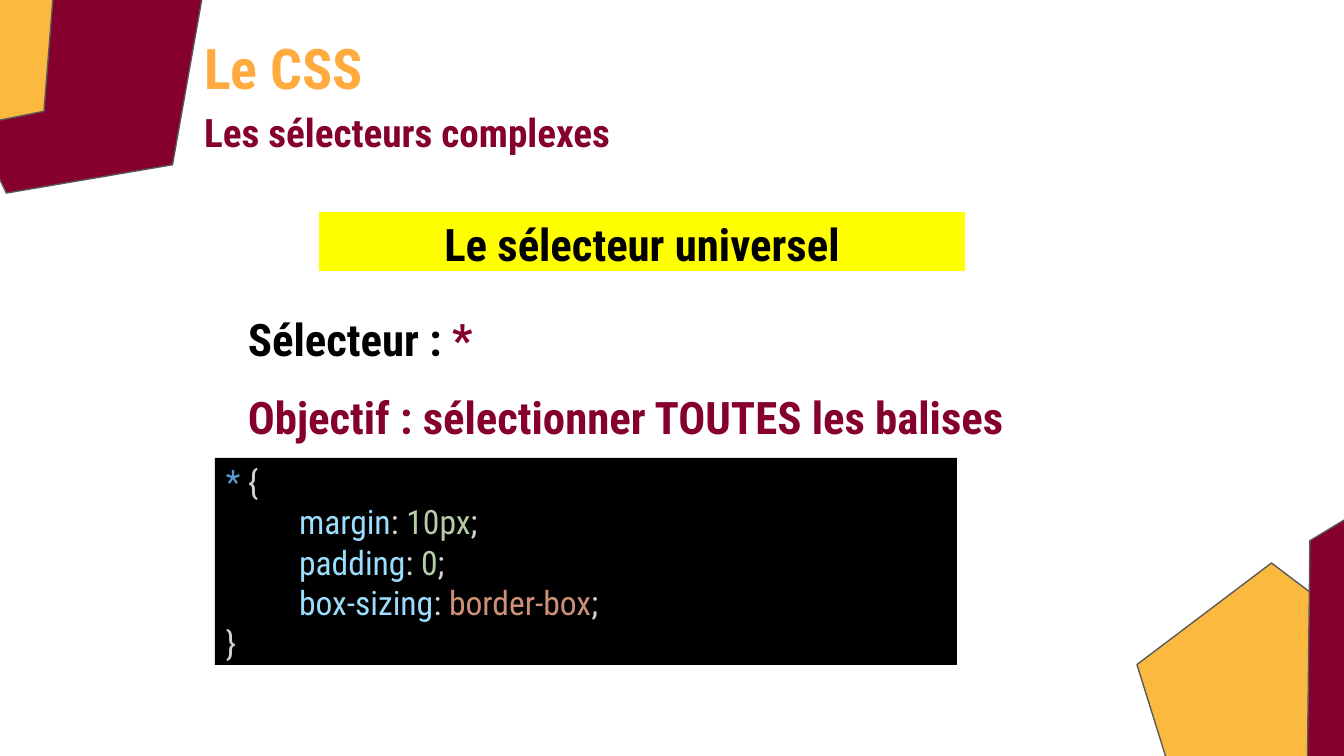
from dataclasses import dataclass

from pptx import Presentation
from pptx import util as u
from pptx.dml.color import RGBColor
from pptx.enum import shapes, text

SCALE = 914400 / 134.4  # EMU per px


@dataclass(frozen=True)
class Theme:
    font: str = "Roboto Condensed"
    orange: str = "FFAB40"
    amber: str = "FBB93F"
    wine: str = "85002D"
    outline: str = "595959"
    yellow: str = "FFFF00"
    black: str = "000000"
    selector: str = "559CD5"
    prop: str = "9CDCFD"
    number: str = "B5CEA8"
    keyword: str = "CE9178"
    punctuation: str = "D3D3D3"
    title: int = 30
    subtitle: int = 21
    body: int = 24
    code: int = 18


T = Theme()


def px(*lengths):
    return [u.Emu(round(n * SCALE)) for n in lengths]


def write(sp, paragraphs, top=0, align=text.PP_ALIGN.LEFT):
    """Fill a shape from (runs, size, bold, indent, line spacing, space before)."""
    tf = sp.text_frame
    tf.word_wrap = True
    tf.auto_size = text.MSO_AUTO_SIZE.NONE
    tf.vertical_anchor = text.MSO_ANCHOR.TOP
    tf.margin_left = tf.margin_right = tf.margin_bottom = 0
    tf.margin_top = px(top)[0]
    for i, (runs, size, bold, indent, spacing, before) in enumerate(paragraphs):
        p = tf.paragraphs[0] if i == 0 else tf.add_paragraph()
        p.alignment = align
        p.line_spacing = spacing
        p.space_before = u.Pt(before)
        p.font.name, p.font.size, p.font.bold = T.font, u.Pt(size), bold
        pPr = p._p.get_or_add_pPr()
        pPr.set("marL", str(px(indent)[0]))
        pPr.set("indent", "0")
        for words, color in runs:
            r = p.add_run()
            r.text = words
            r.font.color.rgb = RGBColor.from_string(color)


prs = Presentation()
prs.slide_width, prs.slide_height = px(1344, 756)
s = prs.slides.add_slide(prs.slide_layouts[5])

# Corner pentagons
for x, y, w, h, angle, color in [
    (1137, 563, 269, 266, 0, T.amber),
    (-67, -58, 269, 266, 207.4, T.wine),
    (-190, -110, 269, 266, 131.6, T.amber),
    (1296, 437, 269, 353, 13.9, T.wine),
]:
    sp = s.shapes.add_shape(shapes.MSO_SHAPE.REGULAR_PENTAGON, *px(x, y, w, h))
    sp.rotation = angle
    sp.shadow.inherit = False
    sp.fill.solid()
    sp.fill.fore_color.rgb = RGBColor.from_string(color)
    sp.line.color.rgb = RGBColor.from_string(T.outline)
    sp.line.width = u.Pt(0.75)

# Title and subtitle
title = s.shapes.title
title.left, title.top, title.width, title.height = px(202, 20, 667, 132)
write(title, [
    ([("Le CSS", T.orange)], T.title, True, 2, 1.17, 0),
    ([("Les sélecteurs complexes", T.wine)], T.subtitle, True, 2, 1.08, 2),
], top=2)

# Yellow banner and black code panel
panels = []
for x, y, w, h, color in [
    (319, 212, 646, 59, T.yellow),
    (215, 458, 742, 207, T.black),
]:
    sp = s.shapes.add_shape(shapes.MSO_SHAPE.RECTANGLE, *px(x, y, w, h))
    sp.shadow.inherit = False
    sp.fill.solid()
    sp.fill.fore_color.rgb = RGBColor.from_string(color)
    sp.line.fill.background()
    panels.append(sp)
banner, code = panels

write(banner, [([("Le sélecteur universel", T.black)], T.body, True, 0, 1.09, 0)],
      align=text.PP_ALIGN.CENTER)

# Selector and its purpose
body = s.shapes.add_textbox(*px(246, 310, 914, 134))
write(body, [
    ([("Sélecteur :", T.black), (" *", T.wine)], T.body, True, 2, 1.0, 0),
    ([("Objectif : sélectionner TOUTES les balises", T.wine)], T.body, True, 2, 1.0, 13),
], top=2)

# CSS rule
lines = [([("* ", T.selector), ("{", T.punctuation)], 11)]
for name, value, color in [
    ("margin", "10px", T.number),
    ("padding", "0", T.number),
    ("box-sizing", "border-box", T.keyword),
]:
    lines.append(([(name, T.prop), (": ", T.punctuation),
                   (value, color), (";", T.punctuation)], 84))
lines.append(([("}", T.punctuation)], 11))
write(code, [(runs, T.code, False, indent, 1.0, 0) for runs, indent in lines], top=3)

prs.save("out.pptx")
